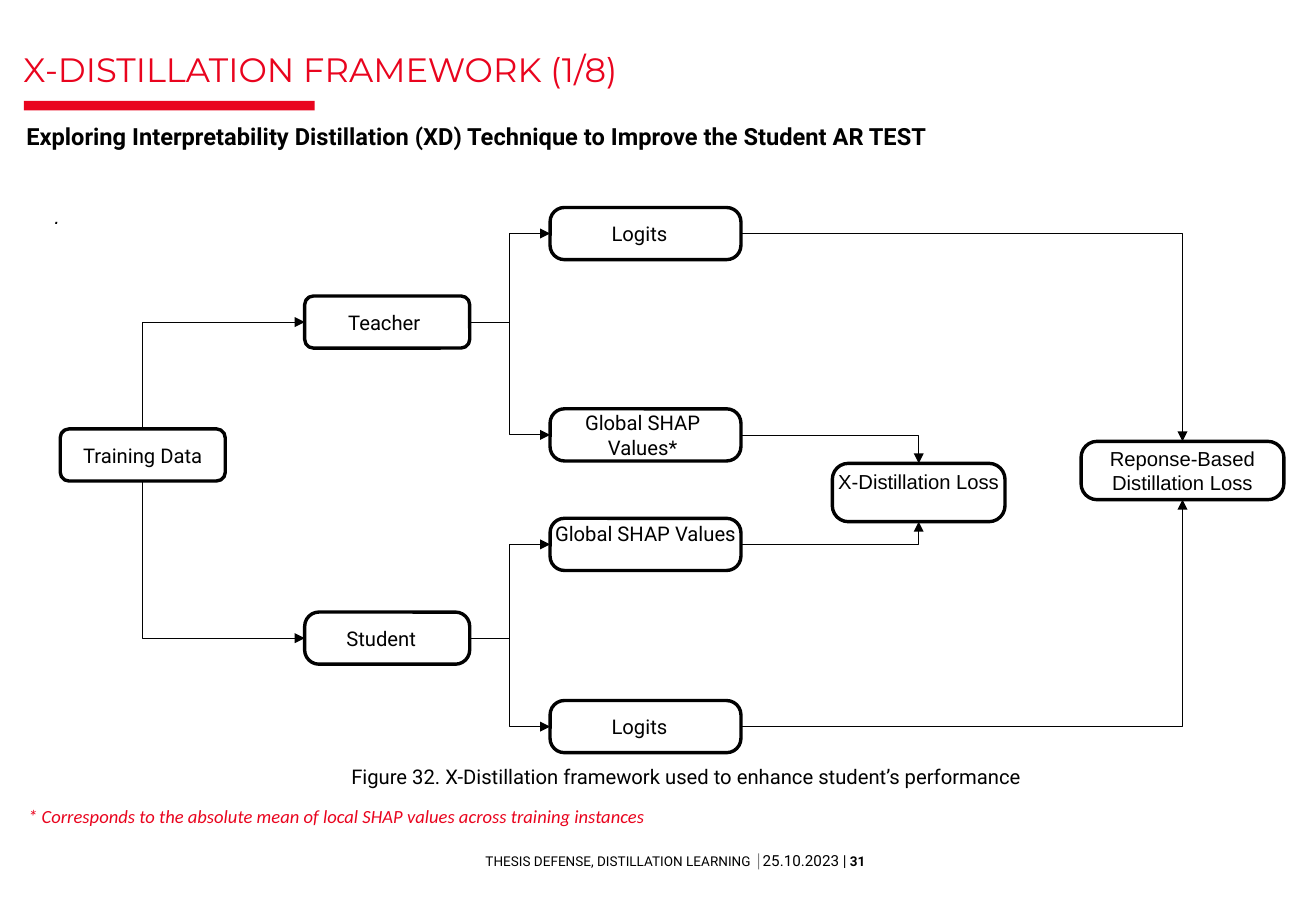
from lxml import etree
from pptx import Presentation
from pptx.dml.color import RGBColor
from pptx.enum.shapes import MSO_CONNECTOR, MSO_SHAPE
from pptx.enum.text import MSO_ANCHOR, MSO_AUTO_SIZE, PP_ALIGN
from pptx.oxml.ns import qn
from pptx.util import Cm, Pt

ELBOW = MSO_CONNECTOR.ELBOW
RECTANGLE, ROUNDED = MSO_SHAPE.RECTANGLE, MSO_SHAPE.ROUNDED_RECTANGLE
TOP, MIDDLE, BOTTOM = MSO_ANCHOR.TOP, MSO_ANCHOR.MIDDLE, MSO_ANCHOR.BOTTOM
LEFT, CENTER = PP_ALIGN.LEFT, PP_ALIGN.CENTER
NO_AUTOFIT = MSO_AUTO_SIZE.NONE

COLORS = {"ink": "010101", "red": "E9041E", "grey": "808080", "white": "FFFFFF"}

# Connection sites of a rounded rectangle
SITE_TOP, SITE_LEFT, SITE_BOTTOM, SITE_RIGHT = range(4)

# Diagram columns: left and width in cm
COLUMNS = {
    "data": (1.26, 3.45),
    "model": (6.37, 3.45),
    "output": (11.5, 3.99),
    "x_loss": (17.4, 3.61),
    "response_loss": (22.6, 4.24),
}
LOW, HIGH = 1.09, 1.22
SOFT, ROUND = 0.167, 0.275
LINE_OF_TEXT = 0.48

# key: column, top, height, corner, text, font, wrap, right inset, bottom inset
NODES = {
    "data": ("data", 8.97, LOW, SOFT, "Training Data", "Roboto", False, 0, 0),
    "teacher": ("model", 6.19, LOW, SOFT, "Teacher", "Roboto", False, 0.12, 0),
    "student": ("model", 12.8, LOW, ROUND, "Student", "Roboto", False, 0.25, 0),
    "teacher_logits": ("output", 4.34, LOW, ROUND, "Logits", "Roboto", False, 0.25, 0),
    "teacher_shap": ("output", 8.55, LOW, ROUND, "Global SHAP Values*", "Roboto", True, 0.12, 0),
    "student_shap": ("output", 10.84, LOW, ROUND, "Global SHAP Values", "Roboto", False, 0, LINE_OF_TEXT),
    "student_logits": ("output", 14.65, LOW, ROUND, "Logits", "Roboto", False, 0.25, 0),
    "x_loss": ("x_loss", 9.69, HIGH, ROUND, "X-Distillation Loss", "Arial", False, 0, LINE_OF_TEXT),
    "response_loss": ("response_loss", 9.23, HIGH, ROUND, "Reponse-Based Distillation Loss",
                      "Arial", True, 0, 0),
}

# start, start site, end, end site, line width
ARROWS = [
    ("data", SITE_TOP, "teacher", SITE_LEFT, 0.5),
    ("data", SITE_BOTTOM, "student", SITE_LEFT, 0.5),
    ("teacher", SITE_RIGHT, "teacher_logits", SITE_LEFT, 0.5),
    ("teacher", SITE_RIGHT, "teacher_shap", SITE_LEFT, 0.5),
    ("student", SITE_RIGHT, "student_shap", SITE_LEFT, 0.5),
    ("student", SITE_RIGHT, "student_logits", SITE_LEFT, 0.5),
    ("teacher_shap", SITE_RIGHT, "x_loss", SITE_TOP, 0.5),
    ("student_shap", SITE_RIGHT, "x_loss", SITE_BOTTOM, 0.75),
    ("teacher_logits", SITE_RIGHT, "response_loss", SITE_TOP, 0.5),
    ("student_logits", SITE_RIGHT, "response_loss", SITE_BOTTOM, 0.75),
]


def rgb(name):
    return RGBColor.from_string(COLORS[name])


def set_insets(frame, left, top, right, bottom):
    frame.margin_left, frame.margin_top = Cm(left), Cm(top)
    frame.margin_right, frame.margin_bottom = Cm(right), Cm(bottom)


def add_run(paragraph, text, size, font="Roboto", color="ink", bold=False, italic=False):
    run = paragraph.add_run()
    run.text = text
    run.font.name, run.font.size = font, Pt(size)
    run.font.bold, run.font.italic = bold, italic
    run.font.color.rgb = rgb(color)


def add_text(slide, box, inset=(0.25, 0.13), align=LEFT, anchor=TOP, wrap=True):
    """Add a text box and return its first paragraph."""
    frame = slide.shapes.add_textbox(*map(Cm, box)).text_frame
    set_insets(frame, *inset, *inset)
    frame.word_wrap, frame.vertical_anchor = wrap, anchor
    frame.paragraphs[0].alignment = align
    return frame.paragraphs[0]


def add_title(slide, text):
    title = slide.shapes.title
    title.left, title.top, title.width, title.height = Cm(0.49), Cm(1.2), Cm(26.9), Cm(0.66)
    frame = title.text_frame
    set_insets(frame, 0, 0, 0, 0)
    frame.auto_size, frame.vertical_anchor = NO_AUTOFIT, BOTTOM
    heading = frame.paragraphs[0]
    heading.alignment, heading.line_spacing = LEFT, 0.75
    add_run(heading, text, 20, "Montserrat", "red")


def add_title_bar(slide):
    bar = slide.shapes.add_shape(RECTANGLE, Cm(0.5), Cm(2.11), Cm(6.08), Cm(0.2))
    bar.shadow.inherit = False
    bar.fill.solid()
    bar.fill.fore_color.rgb = rgb("red")
    bar.line.fill.background()


def add_node(slide, column, top, height, corner, text, font, wrap, right, bottom):
    left, width = COLUMNS[column]
    node = slide.shapes.add_shape(ROUNDED, Cm(left), Cm(top), Cm(width), Cm(height))
    node.adjustments[0] = corner
    node.shadow.inherit = False
    node.fill.solid()
    node.fill.fore_color.rgb = rgb("white")
    node.line.color.rgb = rgb("ink")
    node.line.width = Pt(2)
    frame = node.text_frame
    set_insets(frame, 0, 0, right, bottom)
    frame.word_wrap, frame.vertical_anchor = wrap, MIDDLE
    frame.paragraphs[0].alignment = CENTER
    add_run(frame.paragraphs[0], text, 12, font)
    return node


def turn_vertical_first(arrow):
    """Rotate a one-bend arrow so that it leaves its start vertically."""
    upward = arrow.end_y < arrow.begin_y
    left, top, width, height = arrow.left, arrow.top, arrow.width, arrow.height
    arrow.left = left + (width - height) // 2
    arrow.top = top + (height - width) // 2
    arrow.width, arrow.height = height, width
    frame = arrow.element.spPr.find(qn("a:xfrm"))
    frame.set("rot", "5400000" if upward else "16200000")
    frame.set("flipH", "1")
    frame.set("flipV", "1" if upward else "0")


def add_arrow(slide, start, start_site, end, end_site, width):
    arrow = slide.shapes.add_connector(ELBOW, 0, 0, 0, 0)
    arrow.begin_connect(start, start_site)
    arrow.end_connect(end, end_site)
    arrow.line.color.rgb = rgb("ink")
    arrow.line.width = Pt(width)
    properties = arrow.element.spPr
    etree.SubElement(properties.find(qn("a:ln")), qn("a:tailEnd"), type="triangle")
    etree.SubElement(properties, qn("a:effectLst"))
    if (start_site, end_site) != (SITE_RIGHT, SITE_LEFT):
        properties.find(qn("a:prstGeom")).set("prst", "bentConnector2")
    if start_site in (SITE_TOP, SITE_BOTTOM):
        turn_vertical_first(arrow)


def add_footer(slide):
    footer = add_text(slide, (10.13, 17.8, 7.98, 0.38), (0, 0), CENTER, MIDDLE, wrap=False)
    add_run(footer, "THESIS DEFENSE, DISTILLATION LEARNING ", 8)
    add_run(footer, "│", 8, color="grey")
    add_run(footer, "25.10.2023 |", 9)
    add_run(footer, " 31", 8, bold=True)


def main():
    deck = Presentation()
    deck.slide_width, deck.slide_height = Cm(27.51), Cm(19.05)
    slide = deck.slides.add_slide(deck.slide_layouts[5])

    # Heading
    add_title(slide, "X-DISTILLATION FRAMEWORK (1/8)")
    add_title_bar(slide)
    subtitle = add_text(slide, (0.3, 2.41, 20.85, 0.86))
    add_run(subtitle, "Exploring Interpretability Distillation (XD) Technique to Improve "
            "the Student AR TEST", 14, bold=True)
    dot = add_text(slide, (0.89, 4.14, 25.2, 0.76))
    add_run(dot, ".", 12, "Arial", italic=True)

    # Framework diagram
    nodes = {key: add_node(slide, *details) for key, details in NODES.items()}
    for start, start_site, end, end_site, width in ARROWS:
        add_arrow(slide, nodes[start], start_site, nodes[end], end_site, width)

    # Caption, footnote and footer
    caption = add_text(slide, (7.11, 15.88, 14.48, 0.71), (0.1, 0.1), CENTER)
    add_run(caption, "Figure 32. X-Distillation framework used to enhance student’s performance", 12)
    footnote = add_text(slide, (0.49, 16.74, 15.29, 0.66), (0.1, 0.1))
    add_run(footnote, "* Corresponds to the absolute mean of local SHAP values across "
            "training instances", 11, "Calibri", "red", italic=True)
    add_footer(slide)

    deck.save("out.pptx")


if __name__ == "__main__":
    main()
